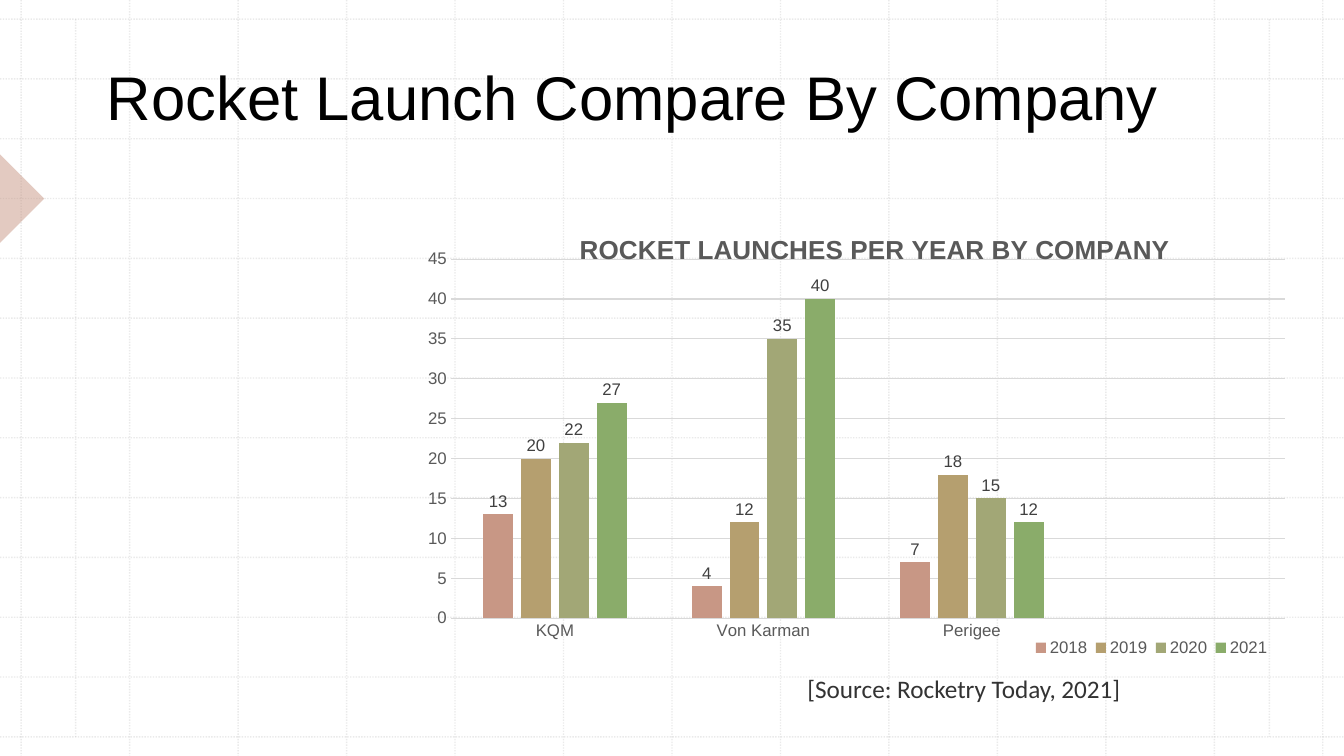
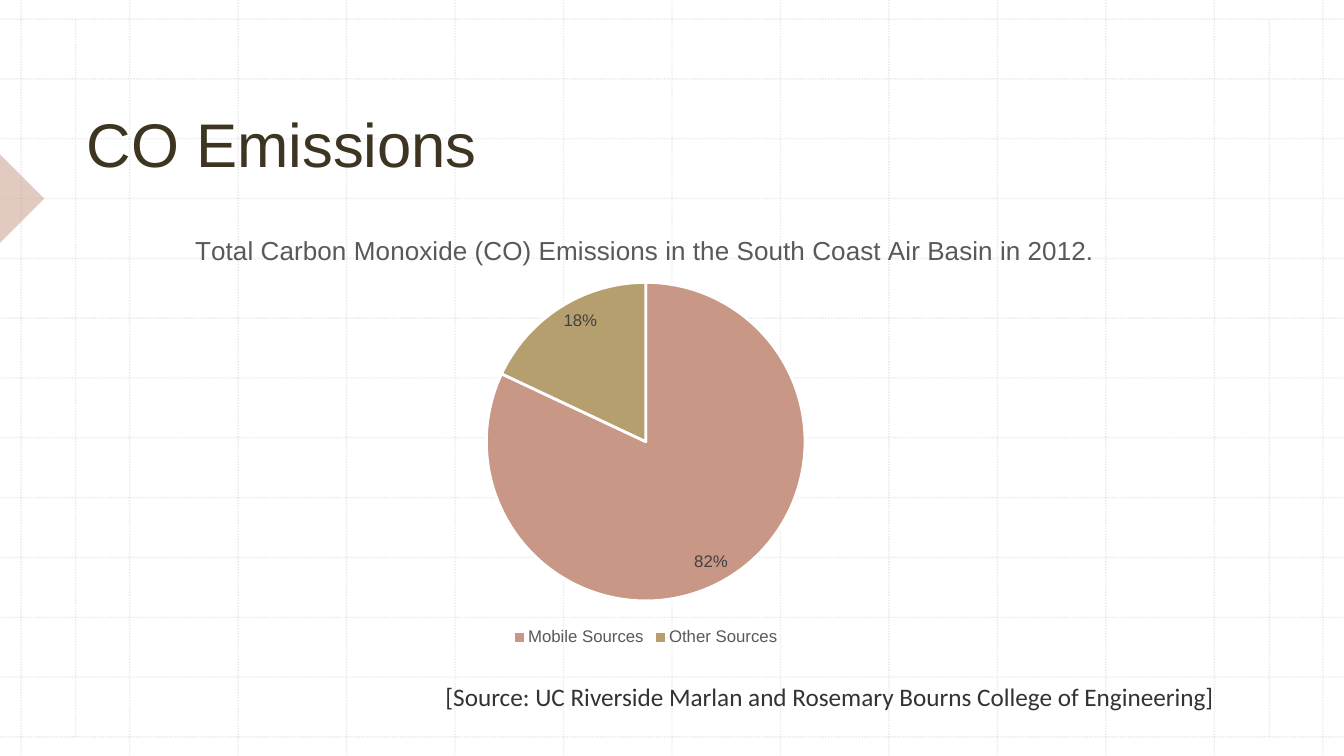
from dataclasses import dataclass

from lxml.etree import SubElement
from pptx import Presentation
from pptx.chart.data import CategoryChartData
from pptx.dml.color import RGBColor
from pptx.enum.chart import (XL_CHART_TYPE, XL_LABEL_POSITION,
                             XL_LEGEND_POSITION, XL_TICK_MARK)
from pptx.enum.dml import MSO_LINE
from pptx.enum.shapes import MSO_CONNECTOR, MSO_SHAPE
from pptx.enum.text import MSO_ANCHOR, MSO_AUTO_SIZE, PP_ALIGN
from pptx.oxml import parse_xml
from pptx.oxml.ns import nsdecls, qn
from pptx.util import Inches, Pt


@dataclass(frozen=True)
class Theme:
    font: str = "Arial"
    source_font: str = "Calibri"
    black: str = "000000"
    brown: str = "3D3522"
    source: str = "333333"
    label: str = "404040"
    muted: str = "595959"
    rule: str = "D9D9D9"
    grid: str = "BCBCBC"
    white: str = "FFFFFF"
    accents: tuple = ("C89785", "B59F6F", "A2A776", "8AAC6A")
    title_size: float = 44
    source_size: float = 18
    chart_title_size: float = 18.6
    chart_size: float = 12


THEME = Theme()
WIDTH, HEIGHT = 13.33, 7.5


def color(value):
    return RGBColor.from_string(value)


def style_font(font, name, size, value, bold=False):
    for key, setting in {"name": name, "size": Pt(size), "bold": bold}.items():
        setattr(font, key, setting)
    font.color.rgb = color(value)


def set_alpha(fill_parent, percent):
    rgb = fill_parent.find(".//" + qn("a:srgbClr"))
    SubElement(rgb, qn("a:alpha")).set("val", str(percent * 1000))


# Shared background
def add_grid_line(page, left, top, right, bottom):
    line = page.shapes.add_connector(
        MSO_CONNECTOR.STRAIGHT, *map(Inches, (left, top, right, bottom)))
    line.line.color.rgb = color(THEME.grid)
    line.line.width = Pt(1)
    line.line.dash_style = MSO_LINE.ROUND_DOT
    properties = line.element.spPr
    set_alpha(properties, 30)
    SubElement(properties, qn("a:effectLst"))
    return line


def add_pointer(page):
    pointer = page.shapes.add_shape(
        MSO_SHAPE.RIGHT_TRIANGLE, *map(Inches, (-0.31, 1.66, 0.62, 0.62)))
    pointer.rotation = 225
    pointer.shadow.inherit = False
    pointer.fill.solid()
    pointer.fill.fore_color.rgb = color(THEME.accents[0])
    set_alpha(pointer.element.spPr, 50)
    pointer.line.fill.background()
    return pointer


def build_background(page, master):
    """Draw the grid and pointer, then hand them to the slide master."""
    left, right, top, bottom, steps = 0.21, 13.12, 0.19, 7.31, 12
    parts = []
    for step in range(steps + 1):
        x = left + step * (right - left) / steps
        y = top + step * (bottom - top) / steps
        parts.append(add_grid_line(page, x, 0, x, HEIGHT))
        parts.append(add_grid_line(page, 0, y, WIDTH, y))
    for x in (0.75, 12.59):
        parts.append(add_grid_line(page, x, top, x, bottom))
    parts.append(add_pointer(page))
    tree = master.shapes.element
    for index, part in enumerate(parts):
        part.element.find(".//" + qn("p:cNvPr")).set("id", str(100 + index))
        tree.insert(2 + index, part.element)


# Text regions
def add_title(page, box, text, value):
    title = page.shapes.title
    title.left, title.top, title.width, title.height = map(Inches, box)
    frame = title.text_frame
    frame.text = text
    for key, setting in {"vertical_anchor": MSO_ANCHOR.BOTTOM, "word_wrap": True,
                         "auto_size": MSO_AUTO_SIZE.NONE}.items():
        setattr(frame, key, setting)
    para = frame.paragraphs[0]
    para.alignment = PP_ALIGN.LEFT
    style_font(para.font, THEME.font, THEME.title_size, value)


def add_source(page, box, text):
    frame = page.shapes.add_textbox(*map(Inches, box)).text_frame
    frame.word_wrap = True
    para = frame.paragraphs[0]
    para.text = text
    style_font(para.font, THEME.source_font, THEME.source_size, THEME.source)


# Chart parts
def set_layout(chart, tag, values, after=None):
    """Place a chart part by fractions of the chart's size."""
    parent = chart.element.find(".//" + qn(tag))
    for old in parent.findall(qn("c:layout")):
        parent.remove(old)
    target = '<c:layoutTarget val="inner"/>' if tag == "c:plotArea" else ""
    modes = "".join(f'<c:{axis}Mode val="edge"/>' for axis in "xy")
    places = "".join(f'<c:{key} val="{value}"/>' for key, value in zip("xywh", values))
    layout = parse_xml(f'<c:layout {nsdecls("c")}><c:manualLayout>'
                       f'{target}{modes}{places}</c:manualLayout></c:layout>')
    if after:
        parent.find(qn(after)).addnext(layout)
    else:
        parent.insert(0, layout)


def add_chart(page, kind, box, data, title, title_place, plot_place, bold=False):
    chart = page.shapes.add_chart(kind, *map(Inches, box), data).chart
    style_font(chart.font, THEME.font, THEME.chart_size, THEME.muted)
    chart.has_title = True
    frame = chart.chart_title.text_frame
    frame.text = title
    style_font(frame.paragraphs[0].runs[0].font, THEME.font,
               THEME.chart_title_size, THEME.muted, bold)
    chart.has_legend = True
    chart.legend.position = XL_LEGEND_POSITION.BOTTOM
    chart.legend.include_in_layout = False
    style_font(chart.legend.font, THEME.font, THEME.chart_size, THEME.muted)
    set_layout(chart, "c:title", title_place, after="c:tx")
    set_layout(chart, "c:plotArea", plot_place)
    return chart


def add_labels(plot, position, number_format):
    plot.has_data_labels = True
    labels = plot.data_labels
    for key, setting in {"show_value": True, "show_percentage": False,
                         "number_format": number_format,
                         "number_format_is_linked": False,
                         "position": position}.items():
        setattr(labels, key, setting)
    style_font(labels.font, THEME.font, THEME.chart_size, THEME.label)


def fill_with(part, value):
    part.format.fill.solid()
    part.format.fill.fore_color.rgb = color(value)


def add_launch_chart(page, box):
    data = CategoryChartData(number_format="General")
    data.categories = ["KQM", "Von Karman", "Perigee", ""]
    for year, launches in {"2018": (13, 4, 7), "2019": (20, 12, 18),
                           "2020": (22, 35, 15), "2021": (27, 40, 12)}.items():
        data.add_series(year, (*launches, None))
    chart = add_chart(page, XL_CHART_TYPE.COLUMN_CLUSTERED, box, data,
                      "ROCKET LAUNCHES PER YEAR BY COMPANY",
                      (0.19, 0.03), (0.05, 0.1, 0.94, 0.79), bold=True)
    set_layout(chart, "c:legend", (0.7, 0.92, 0.28, 0.07), after="c:legendPos")
    plot = chart.plots[0]
    plot.gap_width, plot.overlap, plot.vary_by_categories = 219, -27, False
    for series, accent in zip(plot.series, THEME.accents):
        fill_with(series, accent)
    add_labels(plot, XL_LABEL_POSITION.OUTSIDE_END, "General")

    # Axes
    values = chart.value_axis
    values.minimum_scale, values.maximum_scale, values.major_unit = 0, 45, 5
    for axis in (chart.category_axis, values):
        axis.major_tick_mark = axis.minor_tick_mark = XL_TICK_MARK.NONE
        style_font(axis.tick_labels.font, THEME.font, THEME.chart_size, THEME.muted)
    values.format.line.fill.background()
    for rule in (chart.category_axis, values.major_gridlines):
        rule.format.line.color.rgb = color(THEME.rule)
        rule.format.line.width = Pt(0.75)


def add_emission_chart(page, box):
    data = CategoryChartData(number_format="0%")
    data.categories = ["Mobile Sources", "Other Sources"]
    data.add_series("Series 1", (0.82, 0.18))
    chart = add_chart(page, XL_CHART_TYPE.PIE, box, data,
                      "Total Carbon Monoxide (CO) Emissions in the "
                      "South Coast Air Basin in 2012.",
                      (0.1, 0.05), (0.36, 0.17, 0.28, 0.72))
    plot = chart.plots[0]
    plot.vary_by_categories = True
    for index, accent in enumerate(THEME.accents[:2]):
        point = plot.series[0].points[index]
        fill_with(point, accent)
        point.format.line.color.rgb = color(THEME.white)
        point.format.line.width = Pt(2)
    add_labels(plot, XL_LABEL_POSITION.INSIDE_END, "0%")


# Slides
def build_launch_slide(page):
    add_title(page, (0.96, 0.53, 11.05, 0.84),
              "Rocket Launch Compare By Company", THEME.black)
    add_launch_chart(page, (4.03, 2.12, 8.8, 4.51))
    add_source(page, (7.91, 6.63, 5, 0.4), "[Source: Rocketry Today, 2021]")


def build_emission_slide(page):
    add_title(page, (0.76, 0.25, 11.29, 1.58), "CO Emissions", THEME.brown)
    add_emission_chart(page, (0.76, 2.05, 11.29, 4.4))
    add_source(page, (4.32, 6.71, 8.52, 0.4),
               "[Source: UC Riverside Marlan and Rosemary Bourns College of Engineering]")


def main():
    deck = Presentation()
    deck.slide_width, deck.slide_height = Inches(WIDTH), Inches(HEIGHT)
    title_only = deck.slide_layouts[5]
    pages = [deck.slides.add_slide(title_only) for _ in range(2)]
    build_background(pages[0], deck.slide_master)
    build_launch_slide(pages[0])
    build_emission_slide(pages[1])
    deck.save("out.pptx")


if __name__ == "__main__":
    main()
